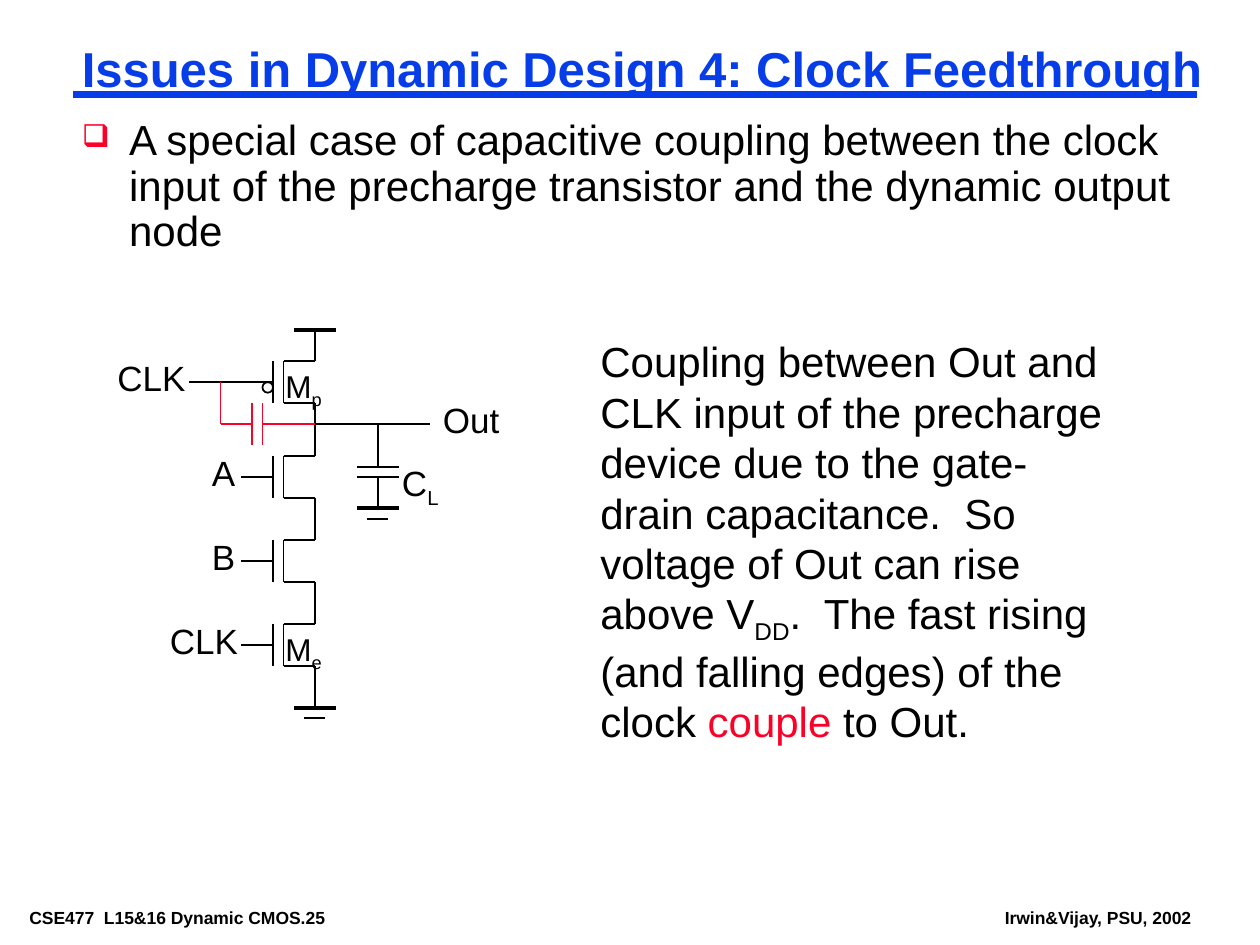
import pptx
import pptx.util
import pptx.dml.color
import pptx.enum.shapes
import pptx.enum.text
import lxml.etree
from pptx.oxml.ns import qn

SCALE = 7620  # EMU in one px, 120 px to the inch
BLUE, RED, BLACK = "063DE8", "FC0128", "000000"
SMALL = {"size": pptx.util.Pt(10), "bold": True}
HEAD = {"size": pptx.util.Pt(28), "bold": True}
MAIN = {"size": pptx.util.Pt(24)}
LABEL = {"size": pptx.util.Pt(20)}
NAME = {"size": pptx.util.Pt(18)}


def px(*nums):
    return [pptx.util.Emu(n * SCALE) for n in nums]


def tint(code):
    return pptx.dml.color.RGBColor.from_string(code)


def lines(shapes, x, y, segs, color=BLACK, width=1):
    """Draw segments (x1, y1, x2, y2) relative to x, y."""
    for x1, y1, x2, y2 in segs:
        line = shapes.add_connector(pptx.enum.shapes.MSO_CONNECTOR.STRAIGHT,
                                    *px(x + x1, y + y1, x + x2, y + y2))
        line.line.color.rgb = tint(color)
        line.line.width = pptx.util.Pt(width)
        lxml.etree.SubElement(line._element.spPr, qn("a:effectLst"))


def text(shapes, box, runs, form, wrap=False, pad=(12, 6)):
    """Place runs (words, color, is subscript) in a box; return the paragraph."""
    frame = shapes.add_textbox(*px(*box)).text_frame
    side, top = px(*pad)
    fit = pptx.enum.text.MSO_AUTO_SIZE.SHAPE_TO_FIT_TEXT
    for key, val in {"margin_left": side, "margin_right": side,
                     "margin_top": top, "margin_bottom": top,
                     "auto_size": fit, "word_wrap": wrap}.items():
        setattr(frame, key, val)
    para = frame.paragraphs[0]
    for words, color, sub in runs:
        run = para.add_run()
        run.text = words
        for key, val in {"name": "Arial", **form}.items():
            setattr(run.font, key, val)
        run.font.color.rgb = tint(color)
        if sub:
            run._r.get_or_add_rPr().set("baseline", "-25000")
    return para


def plain(words, color=BLACK):
    return [(words, color, False)]


def based(words, sub):
    return [(words, BLACK, False), (sub, BLACK, True)]


def footer(shapes, x, y):
    for dx, wide, words in ((0, 360, "CSE477  L15&16 Dynamic CMOS.25"),
                            (929, 196, "Irwin&Vijay, PSU, 2002")):
        text(shapes, (x + dx, y, wide, 26), plain(words), SMALL, pad=(8, 4))


def title(shapes, x, y):
    lines(shapes, x, y, [(0, 50, 1070, 50)], BLUE, 4.5)
    para = text(shapes, (x, y, 1130, 55),
                plain("Issues in Dynamic Design 4: Clock Feedthrough", BLUE),
                HEAD, True, (8, 4))
    para.line_spacing = 0.87


def bullet(shapes, box):
    para = text(shapes, box, plain(
        "A special case of capacitive coupling between the clock input of "
        "the precharge transistor and the dynamic output node"),
        MAIN, True, (8, 4))
    para.line_spacing = 0.9
    props = para._p.get_or_add_pPr()
    indent, = px(45)
    props.set("marL", str(indent))
    props.set("indent", str(-indent))
    color = lxml.etree.SubElement(props, qn("a:buClr"))
    lxml.etree.SubElement(color, qn("a:srgbClr"), val=RED)
    lxml.etree.SubElement(props, qn("a:buSzPct"), val="75000")
    lxml.etree.SubElement(props, qn("a:buChar"), char="❑")


def gate(shapes, x, y, bubble=False):
    """Transistor whose channel starts at the given y."""
    group = shapes.add_group_shape().shapes
    lines(group, x, y, [
        (40, 0, 70, 0), (40, 0, 40, 40), (40, 40, 70, 40), (30, 0, 30, 40),
        (70, 40, 70, 70), (0, 20, 30, 20), (70, -30, 70, 0)])
    if bubble:
        ring = group.add_shape(pptx.enum.shapes.MSO_SHAPE.OVAL,
                               *px(x + 20, y + 20, 10, 10))
        ring.shadow.inherit = False
        ring.fill.background()
        ring.line.color.rgb = tint(BLACK)
        ring.line.width = pptx.util.Pt(1)


def ground(shapes, x, y):
    """Ground sign under a lead of 30 px that starts at x, y."""
    lines(shapes, x, y, [(-20, 30, 20, 30)], width=2.25)
    lines(shapes, x, y, [(-10, 40, 10, 40), (0, 0, 0, 30)])


def load(shapes, x, y):
    """Load capacitor hanging from x, y."""
    group = shapes.add_group_shape().shapes
    lines(group, x, y, [(0, 0, 0, 41), (-20, 50, 20, 50), (-20, 41, 20, 41)])
    ground(group, x, y + 50)
    text(group, (x + 11, y + 30, 59, 58), based("C", "L"), LABEL)


def circuit(shapes, x, y):
    # Stack of transistors with their inputs
    for dy, dx, wide, words in ((30, 0, 89, "CLK"), (120, 90, 46, "A"),
                                (200, 90, 46, "B"), (280, 50, 89, "CLK")):
        gate(shapes, x + 130, y + dy, bubble=dy == 30)
        text(shapes, (x + dx, y + dy - 10, wide, 53), plain(words), LABEL)
    for dy, sub in ((30, "p"), (280, "e")):
        text(shapes, (x + 160, y + dy, 59, 53), based("M", sub), NAME)

    # Supply, ground and clock lead
    lines(shapes, x, y, [(180, 0, 220, 0)], width=2.25)
    ground(shapes.add_group_shape().shapes, x + 200, y + 330)
    lines(shapes, x, y, [(80, 50, 130, 50)])

    # Output with its load
    lines(shapes, x, y, [(200, 90, 310, 90)])
    load(shapes, x + 260, y + 90)
    text(shapes, (x + 310, y + 60, 78, 53), plain("Out"), LABEL)

    # Coupling capacitor
    lines(shapes.add_group_shape().shapes, x, y, [
        (110, 50, 110, 90), (110, 90, 140, 90), (140, 70, 140, 110),
        (150, 70, 150, 110), (150, 90, 200, 90)], RED)


def note(shapes, box):
    text(shapes, box, [
        ("Coupling between Out and CLK input of the precharge device due to "
         "the gate- drain capacitance.  So voltage of Out can rise above V",
         BLACK, False),
        ("DD", BLACK, True),
        (".  The fast rising (and falling edges) of the clock ", BLACK, False),
        ("couple", RED, False),
        (" to Out.", BLACK, False)], MAIN, True)


def main():
    deck = pptx.Presentation()
    deck.slide_width, deck.slide_height = px(1200, 900)
    shapes = deck.slides.add_slide(deck.slide_layouts[6]).shapes
    footer(shapes, 20, 860)
    title(shapes, 70, 40)
    circuit(shapes, 100, 314)
    note(shapes, (560, 314, 530, 403))
    bullet(shapes, (70, 110, 1070, 137))
    deck.save("out.pptx")


if __name__ == "__main__":
    main()
